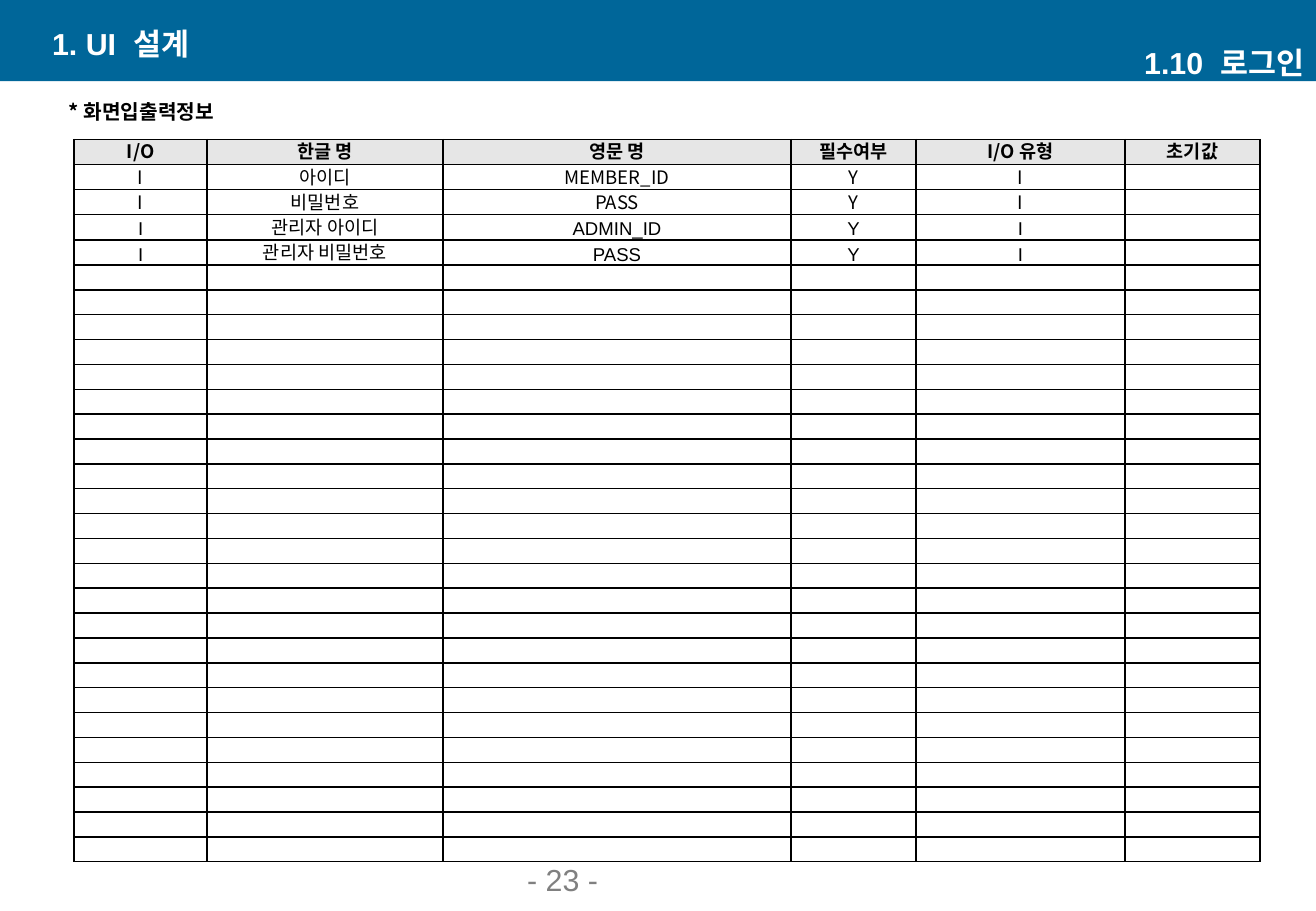
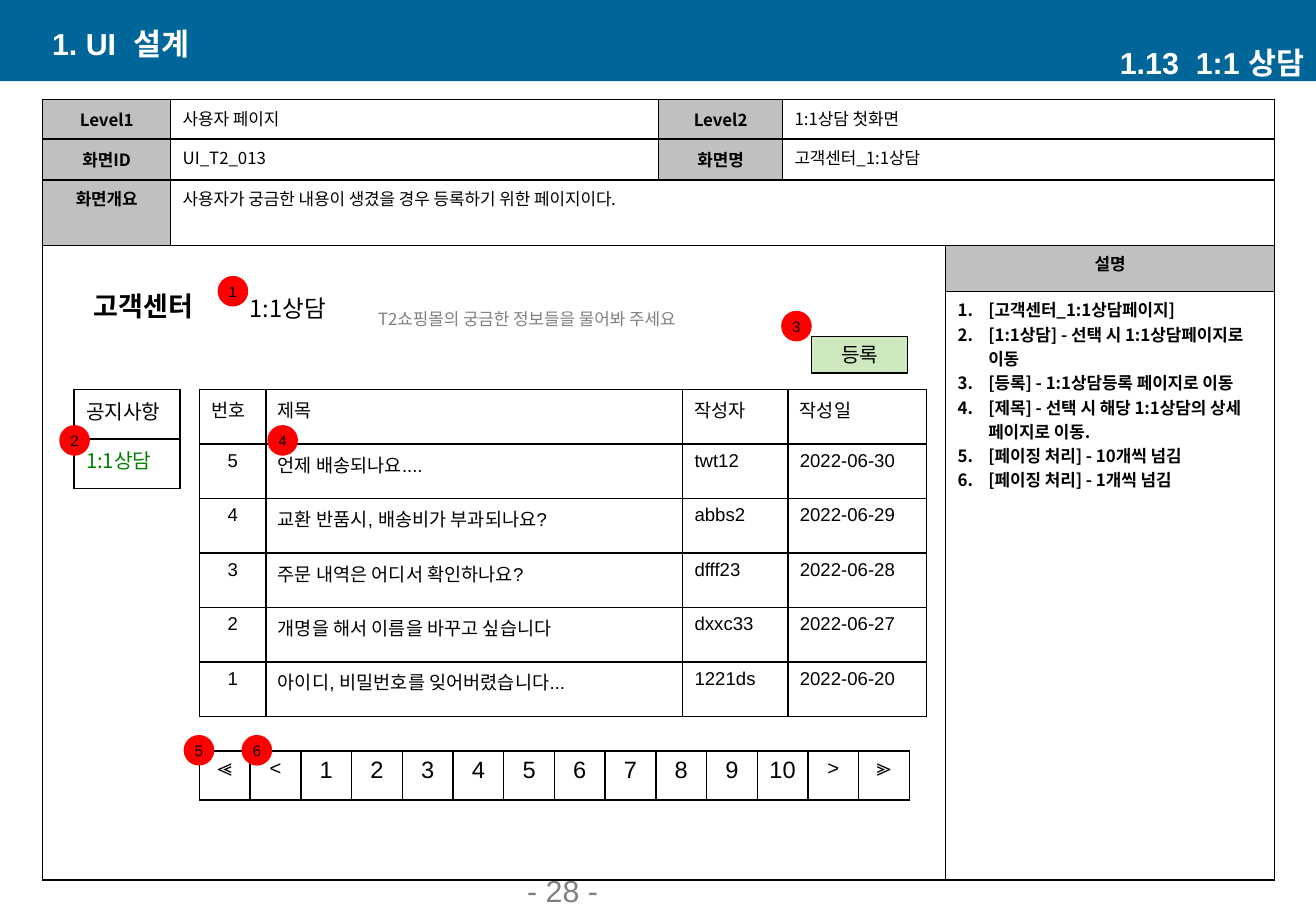
from pptx import Presentation
from pptx.dml.color import RGBColor
from pptx.enum import shapes, text
from pptx.oxml import ns, xmlchemy
from pptx.util import Cm, Pt

COLORS = {"band": "006699", "white": "FFFFFF", "black": "000000", "gray": "808080",
          "head": "E6E6E6", "label": "C0C0C0", "green": "008000",
          "button": "CEE9BF", "badge": "FF0000"}
LATIN, KOREAN = "Arial", "Noto Sans CJK KR"
WIDTH, HEIGHT = 27.51, 19.05
CENTER, LEFT, RIGHT = text.PP_ALIGN.CENTER, text.PP_ALIGN.LEFT, text.PP_ALIGN.RIGHT
TOP, MIDDLE, BOTTOM = text.MSO_ANCHOR.TOP, text.MSO_ANCHOR.MIDDLE, text.MSO_ANCHOR.BOTTOM


def rgb(name):
    return RGBColor.from_string(COLORS[name])


def add_element(parent, tag, **attrs):
    e = xmlchemy.OxmlElement(tag)
    for key, value in attrs.items():
        e.set(key, str(value))
    parent.append(e)
    return e


def write(tf, content, size=11, font=KOREAN, color="black", bold=False, align=LEFT,
          line=None, numbered=False):
    """Fill a text frame; a list of strings becomes one paragraph each."""
    lines = [content] if isinstance(content, str) else content
    for i, words in enumerate(lines):
        p = tf.paragraphs[0] if i == 0 else tf.add_paragraph()
        p.alignment = align
        if line:
            p.line_spacing = Pt(line)
        if numbered:
            pPr = p._p.get_or_add_pPr()
            pPr.set("marL", str(Cm(0.64)))
            pPr.set("indent", str(-Cm(0.64)))
            add_element(pPr, "a:buFont", typeface=KOREAN)
            add_element(pPr, "a:buAutoNum", type="arabicPeriod")
        if not words:
            add_element(p._p, "a:endParaRPr", sz=size * 100)
            continue
        r = p.add_run()
        r.text = words
        r.font.name, r.font.size, r.font.bold = font, Pt(size), bold
        r.font.color.rgb = rgb(color)
        add_element(r._r.get_or_add_rPr(), "a:ea", typeface=KOREAN)


def set_borders(cell):
    tcPr = cell._tc.get_or_add_tcPr()
    for i, side in enumerate(("a:lnL", "a:lnR", "a:lnT", "a:lnB")):
        ln = add_element(tcPr, side, w=Pt(1))
        fill = add_element(ln, "a:solidFill")
        add_element(fill, "a:srgbClr", val=COLORS["black"])
        tcPr.insert(i, ln)


class Deck:
    def __init__(self):
        self.prs = Presentation()
        self.prs.slide_width, self.prs.slide_height = Cm(WIDTH), Cm(HEIGHT)
        self.s = None

    def new_slide(self, title, page, page_top, page_height):
        self.s = self.prs.slides.add_slide(self.prs.slide_layouts[6])
        self.shape("RECTANGLE", 0, 0, WIDTH, 1.7, "band")
        heading = dict(size=18, font=LATIN, color="white", bold=True, anchor=MIDDLE)
        self.text(0.84, 0.48, 11.13, 0.84, "1. UI  설계", **heading)
        self.text(16.38, 0.89, 11.13, 0.84, title, align=RIGHT, **heading)
        self.text(10.77, page_top, 5.74, page_height, f"- {page} -", size=18,
                  font=LATIN, color="gray", anchor=BOTTOM)

    def text(self, x, y, w, h, content, anchor=TOP, **style):
        tf = self.s.shapes.add_textbox(Cm(x), Cm(y), Cm(w), Cm(h)).text_frame
        tf.word_wrap = True
        tf.vertical_anchor = anchor
        write(tf, content, **style)

    def shape(self, kind, x, y, w, h, fill, outlined=False):
        sp = self.s.shapes.add_shape(shapes.MSO_SHAPE[kind], Cm(x), Cm(y), Cm(w), Cm(h))
        sp.shadow.inherit = False
        sp.fill.solid()
        sp.fill.fore_color.rgb = rgb(fill)
        if outlined:
            sp.line.color.rgb = rgb("black")
            sp.line.width = Pt(0.75)
        else:
            sp.line.fill.background()
        return sp

    def button(self, x, y, w, h, label):
        tf = self.shape("RECTANGLE", x, y, w, h, "button", outlined=True).text_frame
        tf.vertical_anchor = MIDDLE
        write(tf, label, size=12, font=LATIN, align=CENTER)

    def badge(self, number, x, y):
        tf = self.shape("OVAL", x, y, 0.64, 0.64, "badge").text_frame
        tf.margin_left = tf.margin_right = tf.margin_top = tf.margin_bottom = 0
        tf.vertical_anchor = MIDDLE
        write(tf, str(number), size=9, font=LATIN, align=CENTER)

    def table(self, x, y, cols, heights, rows, style, merges=()):
        """style(row, column) gives fill, anchor, margins and text format of a cell."""
        t = self.s.shapes.add_table(len(rows), len(cols), Cm(x), Cm(y),
                                    Cm(sum(cols)), Cm(sum(heights))).table
        t.first_row = t.horz_banding = False
        for col, width in zip(t.columns, cols):
            col.width = Cm(width)
        for row, height in zip(t.rows, heights):
            row.height = Cm(height)
        for i, row in enumerate(rows):
            for j, content in enumerate(row):
                cell, look = t.cell(i, j), dict(style(i, j))
                fill = look.pop("fill", None)
                cell.vertical_anchor = look.pop("anchor", TOP)
                side, top, bottom = look.pop("margins", (0.25, 0.13, 0.13))
                cell.margin_left = cell.margin_right = Cm(side)
                cell.margin_top, cell.margin_bottom = Cm(top), Cm(bottom)
                if fill:
                    cell.fill.solid()
                    cell.fill.fore_color.rgb = rgb(fill)
                else:
                    cell.fill.background()
                set_borders(cell)
                write(cell.text_frame, content, **look)
        for first, last in merges:
            t.cell(*first).merge(t.cell(*last))


def field_style(i, j):
    look = dict(anchor=MIDDLE, align=CENTER, line=14)
    if i == 0:
        return dict(look, fill="head", bold=True, margins=(0.18, 0, 0))
    return dict(look, margins=(0.03, 0.03, 0), font=KOREAN if i < 3 else LATIN)


def screen_style(i, j):
    label = dict(size=10, bold=True, fill="label", align=CENTER)
    if (i, j) in ((2, 0), (3, 4)):
        return label
    if i < 2 and j in (0, 2):
        return dict(label, anchor=MIDDLE)
    return dict(size=10, bold=i == 4, numbered=(i, j) == (4, 4))


def menu_style(i, j):
    return dict(size=12, color="green" if i else "black")


def post_style(i, j):
    return dict(font=LATIN, align=CENTER if i and j == 0 else LEFT)


def pager_style(i, j):
    return dict(size=14 if 2 <= j <= 11 else 12, font=LATIN, align=CENTER)


def build_fields(deck):
    deck.new_slide("1.10  로그인", 23, 18.11, 0.79)
    fields = [["I/O", "한글 명", "영문 명", "필수여부", "I/O 유형", "초기값"]]
    for korean, english in (("아이디", "MEMBER_ID"), ("비밀번호", "PASS"),
                            ("관리자 아이디", "ADMIN_ID"), ("관리자 비밀번호", "PASS")):
        fields.append(["I", korean, english, "Y", "I", ""])
    fields += [[""] * 6] * (29 - len(fields))
    deck.table(1.55, 2.92, [2.78, 4.93, 7.28, 2.61, 4.37, 2.82], [0.52] * 29,
               fields, field_style)
    deck.text(1.19, 1.96, 3.86, 0.74, "* 화면입출력정보", size=12, bold=True)


def build_consulting(deck):
    deck.new_slide("1.13  1:1 상담", 28, 18.54, 0.58)
    notes = ["[고객센터_1:1상담페이지]", "[1:1상담] - 선택 시 1:1상담페이지로 이동",
             "[등록] - 1:1상담등록 페이지로 이동",
             "[제목] - 선택 시 해당 1:1상담의 상세 페이지로 이동.",
             "[페이징 처리] - 10개씩 넘김", "[페이징 처리] - 1개씩 넘김"]
    screen = [["Level1", "사용자 페이지", "Level2", "1:1상담 첫화면", ""],
              ["화면ID", "UI_T2_013", "화면명", "고객센터_1:1상담", ""],
              ["화면개요", "사용자가 궁금한 내용이 생겼을 경우 등록하기 위한 페이지이다.", "", "", ""],
              ["", "", "", "", "설명"],
              ["", "", "", "", notes]]
    deck.table(0.89, 2.08, [2.68, 10.2, 2.59, 3.41, 6.87], [0.83, 0.85, 1.37, 0.96, 12.31],
               screen, screen_style,
               merges=[((0, 3), (0, 4)), ((1, 3), (1, 4)), ((2, 1), (2, 4)), ((3, 0), (4, 3))])
    deck.text(4.75, 6.02, 2.54, 1.09, "1:1상담", size=14, align=CENTER)
    deck.text(1.45, 5.92, 3.1, 1.09, "고객센터", size=16, bold=True, align=CENTER)
    deck.text(6.91, 6.32, 8.2, 0.71, "T2쇼핑몰의 궁금한 정보들을 물어봐 주세요",
              size=10, color="gray", align=CENTER)
    deck.table(1.55, 8.15, [2.21], [1.03] * 2, [["공지사항"], ["1:1상담"]], menu_style)
    posts = [["번호", "제목", "작성자", "작성일"],
             ["5", "언제 배송되나요....", "twt12", "2022-06-30"],
             ["4", "교환 반품시, 배송비가 부과되나요?", "abbs2", "2022-06-29"],
             ["3", "주문 내역은 어디서 확인하나요?", "dfff23", "2022-06-28"],
             ["2", "개명을 해서 이름을 바꾸고 싶습니다", "dxxc33", "2022-06-27"],
             ["1", "아이디, 비밀번호를 잊어버렸습니다...", "1221ds", "2022-06-20"]]
    deck.table(4.17, 8.15, [1.39, 8.71, 2.2, 2.9], [1.14] * 6, posts, post_style)
    deck.button(16.97, 7.04, 2.01, 0.76, "등록")
    pages = ["≪", "<", *map(str, range(1, 11)), ">", "≫"]
    deck.table(4.17, 15.7, [1.06] * len(pages), [1.03], [pages], pager_style)
    spots = [(4.55, 5.77), (1.24, 8.89), (16.33, 6.5), (5.59, 8.89), (3.84, 15.37), (5.05, 15.37)]
    for number, (x, y) in enumerate(spots, 1):
        deck.badge(number, x, y)


def main():
    deck = Deck()
    build_fields(deck)
    build_consulting(deck)
    deck.prs.save("out.pptx")


if __name__ == "__main__":
    main()
